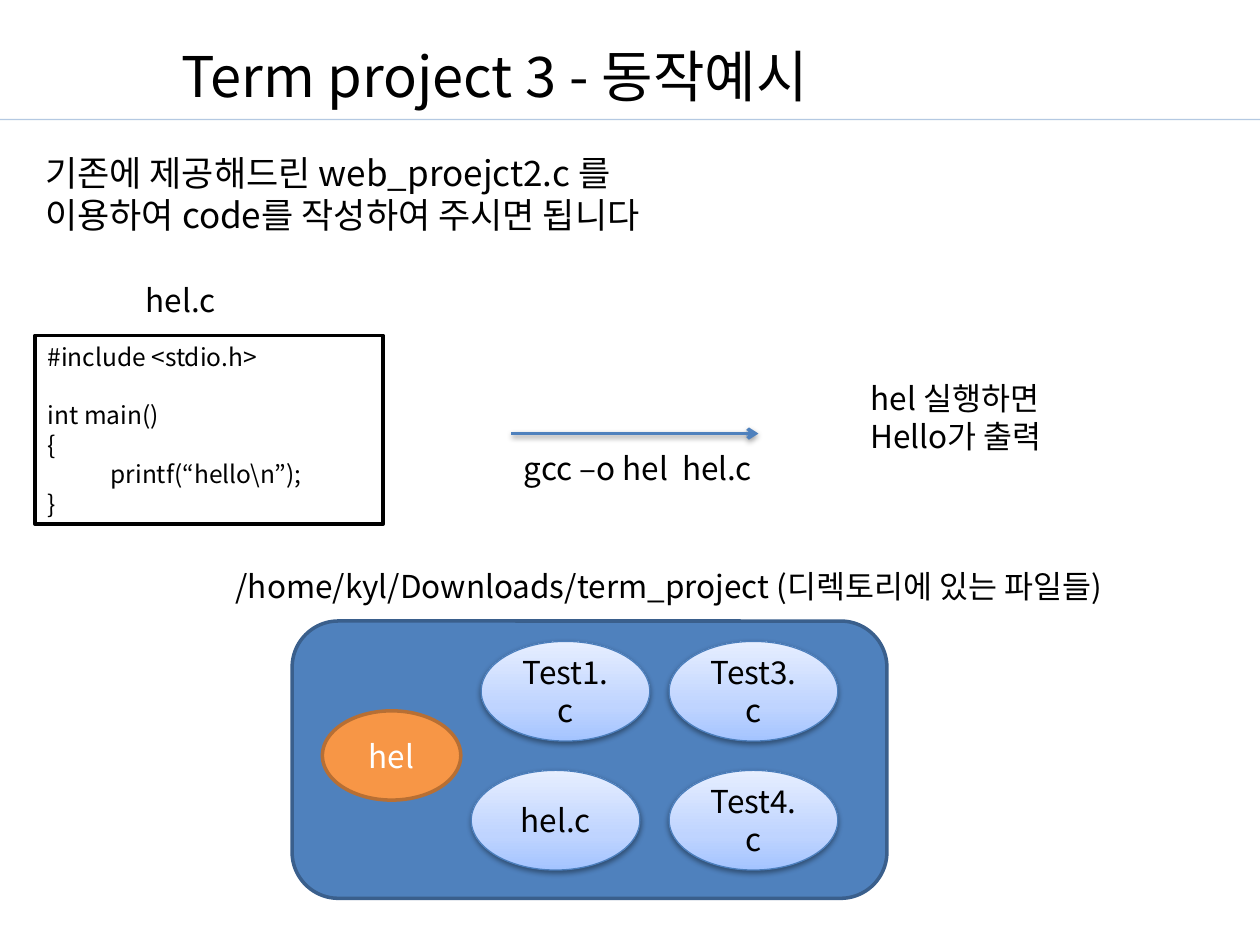
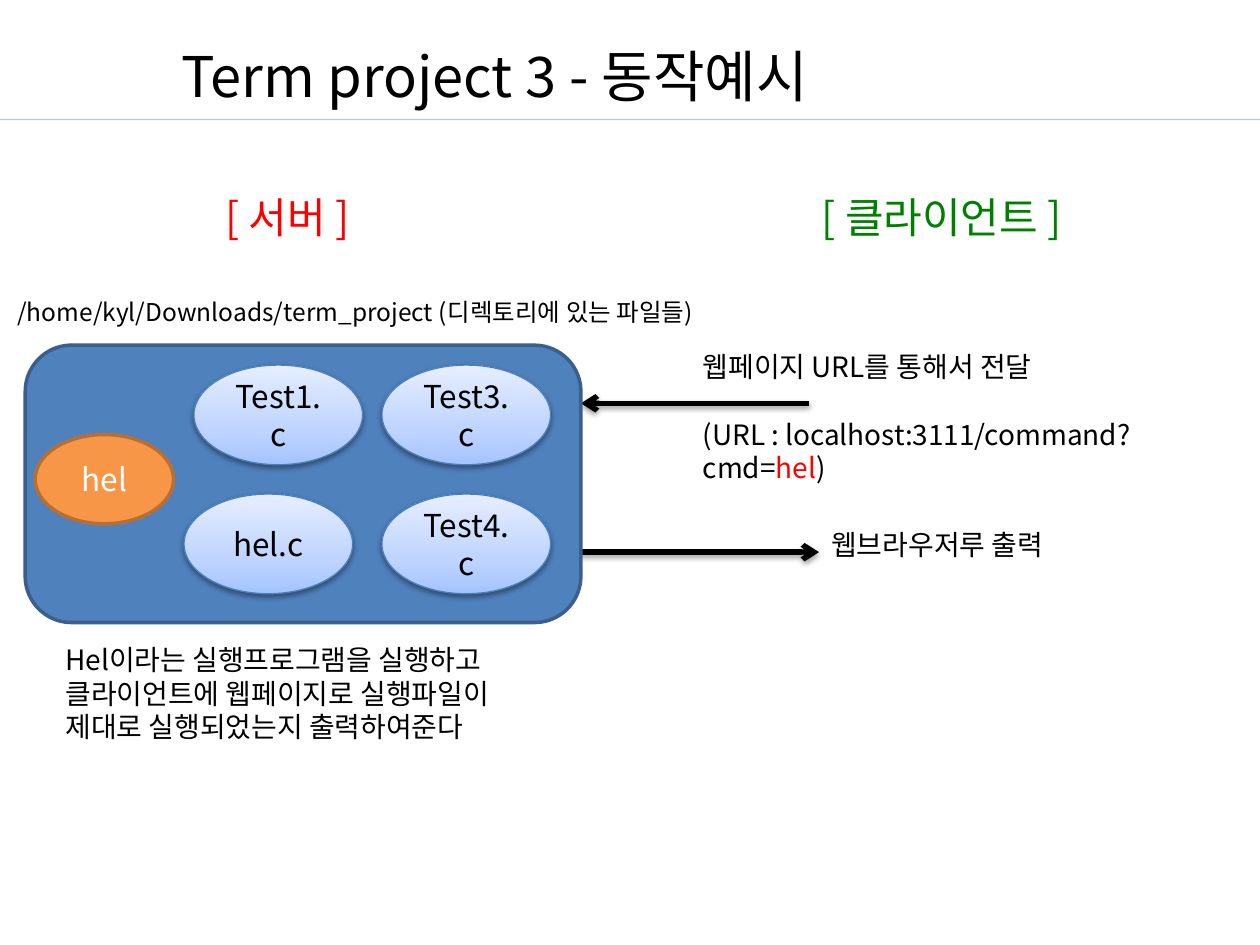
import pptx
import pptx.dml.color
import pptx.enum.shapes
import pptx.enum.text
import pptx.oxml
import pptx.oxml.ns
import pptx.util

Cm, Pt = pptx.util.Cm, pptx.util.Pt
SHAPE = pptx.enum.shapes.MSO_SHAPE
STRAIGHT = pptx.enum.shapes.MSO_CONNECTOR.STRAIGHT
TOP = pptx.enum.text.MSO_ANCHOR.TOP
MIDDLE = pptx.enum.text.MSO_ANCHOR.MIDDLE
BOTTOM = pptx.enum.text.MSO_ANCHOR.BOTTOM
LEFT = pptx.enum.text.PP_ALIGN.LEFT
CENTER = pptx.enum.text.PP_ALIGN.CENTER
NS = pptx.oxml.ns.nsdecls("a")

# Shared look
FONT = "Noto Sans CJK KR"
BLACK, WHITE, RED, GREEN = "000000", "FFFFFF", "FF0000", "008000"
BLUE, DARK_BLUE, FILE_EDGE = "4F81BD", "3A5F8C", "4B7EBC"
ORANGE, DARK_ORANGE, RULE = "F79646", "B76F34", "95B3D7"

SHADOW = (
    f'<a:outerShdw {NS} blurRad="40000" dist="20000" dir="5400000" rotWithShape="0">'
    '<a:srgbClr val="000000"><a:alpha val="38000"/></a:srgbClr></a:outerShdw>'
)
FILE_GRADIENT = (
    f'<a:gradFill {NS} rotWithShape="1"><a:gsLst>'
    '<a:gs pos="0"><a:srgbClr val="A4C4FF"/></a:gs>'
    '<a:gs pos="35000"><a:srgbClr val="BFD4FF"/></a:gs>'
    '<a:gs pos="100000"><a:srgbClr val="E6EEFF"/></a:gs>'
    '</a:gsLst><a:lin ang="16200000" scaled="0"/></a:gradFill>'
)


def rgb(hex_code):
    return pptx.dml.color.RGBColor.from_string(hex_code)


def write(frame, lines, size, color=BLACK, anchor=TOP, align=LEFT):
    """Each line is a string or a list of (string, colour); None leaves a gap."""
    frame.word_wrap = True
    frame.vertical_anchor = anchor
    pitch = Pt(round(size * 1.2, 1))
    gap, paragraph = 0, None
    for line in lines:
        if line is None:
            gap = pitch
            continue
        paragraph = frame.add_paragraph() if paragraph else frame.paragraphs[0]
        layout = {"alignment": align, "line_spacing": pitch, "space_before": gap}
        for name, value in layout.items():
            setattr(paragraph, name, value)
        gap = 0
        for words, tint in [(line, color)] if isinstance(line, str) else line:
            run = paragraph.add_run()
            run.text = words
            for name, value in {"name": FONT, "size": Pt(size)}.items():
                setattr(run.font, name, value)
            run.font.color.rgb = rgb(tint)
            run._r.get_or_add_rPr().append(
                pptx.oxml.parse_xml(f'<a:ea {NS} typeface="{FONT}"/>'))


# Content, lengths in cm
DIRECTORY = "/home/kyl/Downloads/term_project (디렉토리에 있는 파일들)"
FILES = [("Test1.c", 3.2, -1.4), ("Test3.c", 6.99, -1.4),
         ("Test4.c", 6.99, 1.2), ("hel.c", 3, 1.2)]  # offsets from the program

SLIDES = [
    {
        "directory": (5.89, 12.52, 11.99, 5.59),
        "program": (6.5, 14.33),
        "code": ["#include <stdio.h>", None, "int main()", "{",
                 "\tprintf(“hello\\n”);", "}"],
        "arrows": [(10.31, 15.29, 8.74, BLUE, 2)],  # from x, to x, y
        "texts": [  # left, top, width, height, size, colour, lines
            (0.66, 2.92, 23.62, 2.59, 20, BLACK,
             ["기존에 제공해드린 web_proejct2.c 를",
              "이용하여 code를 작성하여 주시면 됩니다"]),
            (2.69, 5.54, 2.59, 1.02, 18, BLACK, ["hel.c"]),
            (17.3, 7.52, 5.21, 1.8, 18, BLACK,
             ["hel 실행하면", "Hello가 출력"]),
            (10.31, 8.92, 5.41, 1.02, 18, BLACK, ["gcc –o hel  hel.c"]),
            (4.5, 11.3, 18.01, 1.02, 18, BLACK, [DIRECTORY]),
        ],
    },
    {
        "directory": (0.51, 6.96, 11.2, 5.59),
        "program": (0.71, 8.76),
        "arrows": [(16.31, 11.71, 8.13, BLACK, 3),
                   (11.71, 16.51, 11.13, BLACK, 3)],
        "texts": [
            (4.29, 3.73, 4.39, 1.27, 24, RED, ["[ 서버 ]"]),
            (16.31, 3.73, 5.99, 1.27, 24, GREEN, ["[ 클라이언트 ]"]),
            (0.1, 5.87, 14.61, 0.86, 14, BLACK, [DIRECTORY]),
            (13.92, 6.93, 11.48, 2.31, 16, BLACK,
             ["웹페이지 URL를 통해서 전달", None,
              [("(URL : localhost:3111/command?cmd=", BLACK),
               ("hel", RED), (")", BLACK)]]),
            (1.07, 12.83, 10.24, 2.31, 16, BLACK,
             ["Hel이라는 실행프로그램을 실행하고",
              "클라이언트에 웹페이지로 실행파일이",
              "제대로 실행되었는지 출력하여준다"]),
            (16.51, 10.52, 5.28, 0.94, 16, BLACK, ["웹브라우저루 출력"]),
        ],
    },
]

deck = pptx.Presentation()
deck.slide_width, deck.slide_height = Cm(25.4), Cm(19.05)

for content in SLIDES:
    slide = deck.slides.add_slide(deck.slide_layouts[6])
    shapes = slide.shapes

    # Header rule and arrows
    rule = (0, 25.4, 2.41, RULE, 0.75)
    for start, end, y, color, weight in [rule] + content["arrows"]:
        line = shapes.add_connector(STRAIGHT, Cm(start), Cm(y), Cm(end), Cm(y))
        line.line.color.rgb = rgb(color)
        line.line.width = Pt(weight)
        effects = pptx.oxml.parse_xml(f"<a:effectLst {NS}/>")
        line._element.spPr.append(effects)
        if color == RULE:
            tint = line.line._ln.find(".//" + pptx.oxml.ns.qn("a:srgbClr"))
            tint.append(pptx.oxml.parse_xml(f'<a:alpha {NS} val="70000"/>'))
        else:
            line.line._ln.append(
                pptx.oxml.parse_xml(f'<a:tailEnd {NS} type="arrow"/>'))
            effects.append(pptx.oxml.parse_xml(SHADOW))

    # Title
    title = shapes.add_textbox(Cm(3.4), Cm(-0.28), Cm(21.69), Cm(2.59))
    write(title.text_frame, ["Term project 3 - 동작예시"], 32, anchor=BOTTOM)

    # Directory panel, program, files and code listing
    x, y = content["program"]
    figures = [
        (SHAPE.ROUNDED_RECTANGLE, content["directory"], BLUE, DARK_BLUE, 2,
         [], 18, WHITE, CENTER),
        (SHAPE.OVAL, (x, y, 2.79, 1.8), ORANGE, DARK_ORANGE, 2,
         ["hel"], 18, WHITE, CENTER),
    ]
    for name, dx, dy in FILES:
        figures.append((SHAPE.OVAL, (x + dx, y + dy, 3.4, 2.01), None, FILE_EDGE,
                        0.75, [name], 18, BLACK, CENTER))
    if "code" in content:
        figures.append((SHAPE.RECTANGLE, (0.71, 6.76, 7.01, 3.81), WHITE, BLACK,
                        2, content["code"], 14, BLACK, LEFT))

    for kind, box, fill, edge, weight, lines, size, color, align in figures:
        figure = shapes.add_shape(kind, *map(Cm, box))
        figure.shadow.inherit = False
        figure.line.color.rgb = rgb(edge)
        figure.line.width = Pt(weight)
        if fill:
            figure.fill.solid()
            figure.fill.fore_color.rgb = rgb(fill)
        else:
            properties = figure._element.spPr
            properties.insert(2, pptx.oxml.parse_xml(FILE_GRADIENT))
            properties.find(pptx.oxml.ns.qn("a:effectLst")).append(
                pptx.oxml.parse_xml(SHADOW))
        write(figure.text_frame, lines, size, color, MIDDLE, align)

    # Labels and explanations
    for *box, size, color, lines in content["texts"]:
        label = shapes.add_textbox(*map(Cm, box))
        write(label.text_frame, lines, size, color)

deck.save("out.pptx")
